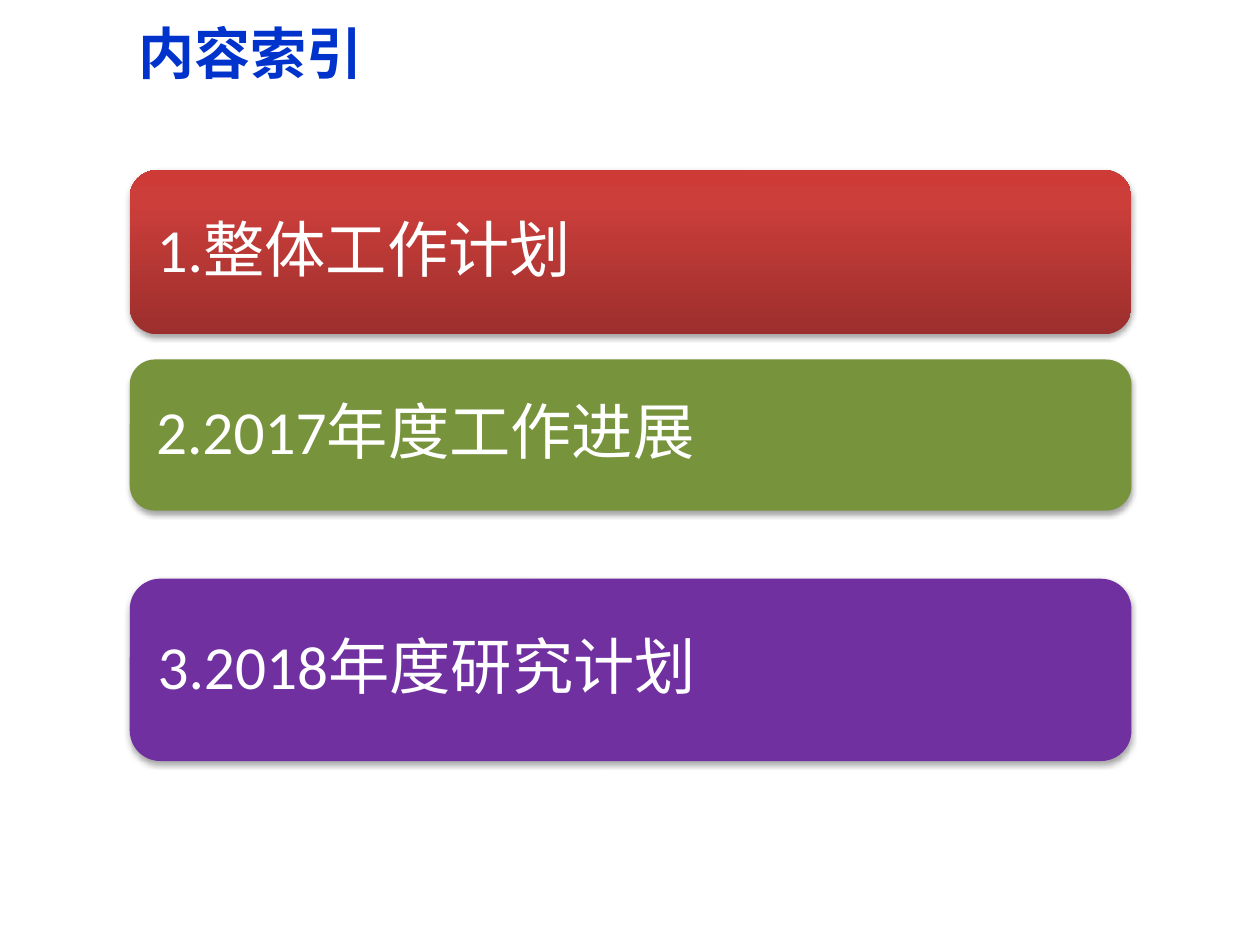
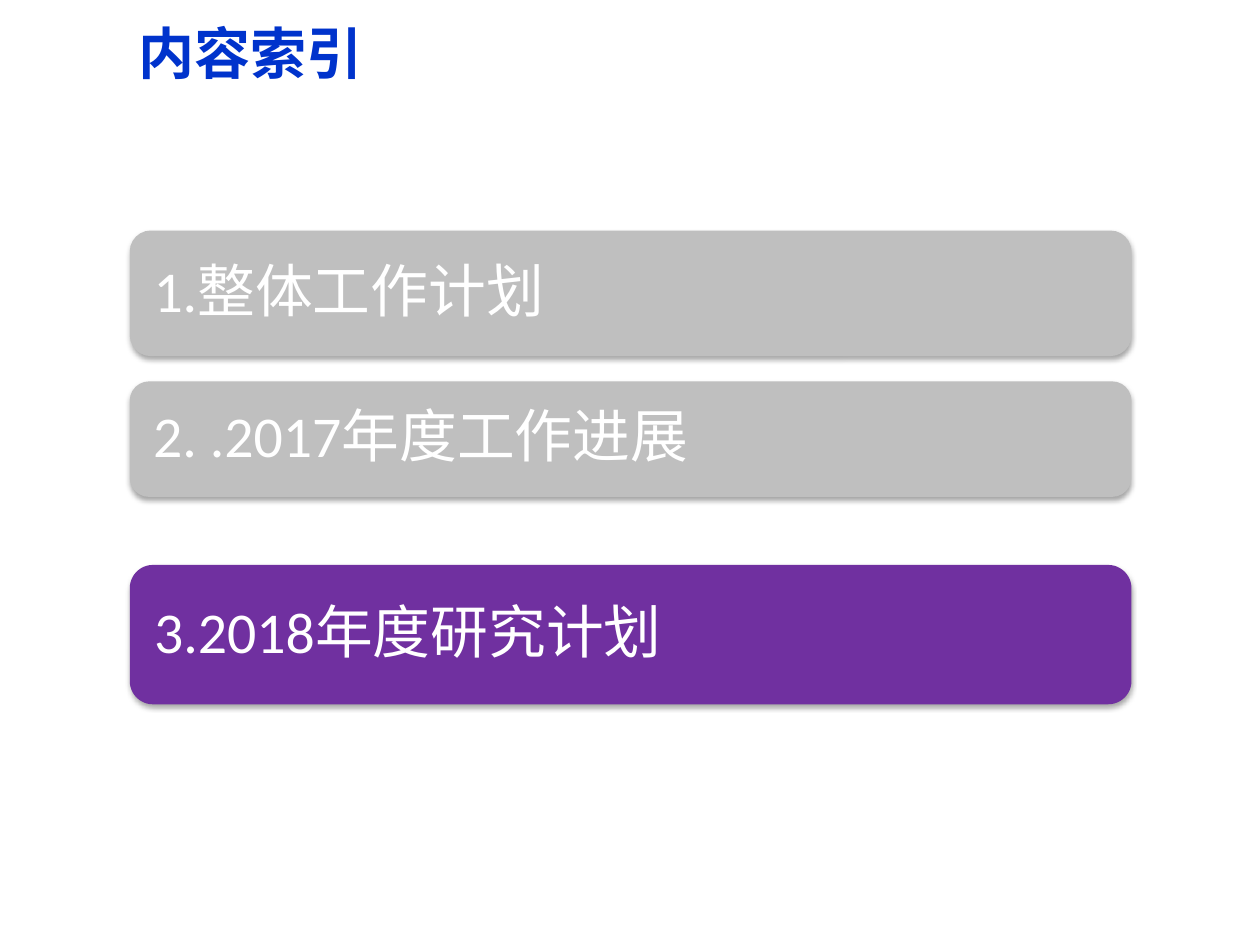
import pptx
import pptx.dml.color
import pptx.enum.shapes
import pptx.enum.text
import pptx.oxml
import pptx.oxml.ns
import pptx.util
from lxml import etree

INCH = pptx.util.Inches
WIDTH, HEIGHT = 10, 7.5
TITLE_FONT, BODY_FONT = "Noto Sans CJK SC", "Calibri"
BLUE, WHITE, GREEN, PURPLE, GREY = "0033CC", "FFFFFF", "77933C", "7030A0", "BFBFBF"
RED_STOPS = [(0, "9C2F2D"), (80, "CB3E3A"), (100, "CE3B37")]

# Bars share one column; their heights are shares of one row unit
BAR_LEFT, BAR_WIDTH = 1.03, 7.95
ROW_SHARES = [1, 0.92, 1.11]
ROW_GAPS = [0.2, 0.54]

SPACE = pptx.oxml.ns.nsdecls("a")
SHADOW = (
    f'<a:effectLst {SPACE}><a:outerShdw blurRad="40000" dist="23000" dir="5400000" '
    'rotWithShape="0"><a:srgbClr val="000000"><a:alpha val="35000"/></a:srgbClr>'
    '</a:outerShdw></a:effectLst>'
)
SPACE_AFTER = f'<a:spcAft {SPACE}><a:spcPct val="35000"/></a:spcAft>'


def color(value):
    return pptx.dml.color.RGBColor.from_string(value)


def style_font(para, name, size, value, bold=False):
    font = para.font
    font.name, font.size, font.bold = name, pptx.util.Pt(size), bold
    font.color.rgb = color(value)
    properties = para._p.pPr.find(pptx.oxml.ns.qn("a:defRPr"))
    east_asian = etree.SubElement(properties, pptx.oxml.ns.qn("a:ea"))
    east_asian.set("typeface", TITLE_FONT)


def fill_shape(shape, fill):
    """Fill with one colour, or with a list of stops running upwards."""
    if isinstance(fill, str):
        shape.fill.solid()
        shape.fill.fore_color.rgb = color(fill)
        return
    shape.fill.gradient()
    shape.fill.gradient_angle = 90
    stops = shape._element.spPr.find(".//" + pptx.oxml.ns.qn("a:gsLst"))
    for stop in list(stops):
        stops.remove(stop)
    for percent, value in fill:
        stops.append(pptx.oxml.parse_xml(
            f'<a:gs {SPACE} pos="{percent * 1000}"><a:srgbClr val="{value}"/></a:gs>'))


def set_title(page, text):
    title = page.shapes.title
    title.left, title.top = INCH(WIDTH * 0.1), INCH(-0.02)
    title.width, title.height = INCH(WIDTH * 0.9), INCH(0.87)
    frame = title.text_frame
    frame.text = text
    frame.vertical_anchor = pptx.enum.text.MSO_ANCHOR.MIDDLE
    para = frame.paragraphs[0]
    para.alignment = pptx.enum.text.PP_ALIGN.LEFT
    style_font(para, TITLE_FONT, 32, BLUE, bold=True)


def add_bar(page, box, text, fill, size, inset):
    bar = page.shapes.add_shape(
        pptx.enum.shapes.MSO_SHAPE.ROUNDED_RECTANGLE, *[INCH(value) for value in box])
    fill_shape(bar, fill)
    bar.line.fill.background()
    bar._element.spPr.append(pptx.oxml.parse_xml(SHADOW))

    frame = bar.text_frame
    frame.text = text
    frame.word_wrap = True
    frame.vertical_anchor = pptx.enum.text.MSO_ANCHOR.MIDDLE
    frame.margin_left = frame.margin_right = INCH(inset)
    frame.margin_top = frame.margin_bottom = INCH(inset)
    para = frame.paragraphs[0]
    para.alignment = pptx.enum.text.PP_ALIGN.LEFT
    para.line_spacing = 0.9
    para._p.pPr.append(pptx.oxml.parse_xml(SPACE_AFTER))
    style_font(para, BODY_FONT, size, WHITE)


def add_index(page, box, entries, size, inset):
    left, top, width, height = box
    row = (height - sum(ROW_GAPS)) / sum(ROW_SHARES)
    for (text, fill), share, gap in zip(entries, ROW_SHARES, ROW_GAPS + [0]):
        add_bar(page, (left, top, width, row * share), text, fill, size, inset)
        top += row * share + gap


def index_page(deck, top, height, entries, size, inset):
    page = deck.slides.add_slide(deck.slide_layouts[5])
    set_title(page, "内容索引")
    add_index(page, (BAR_LEFT, top, BAR_WIDTH, height), entries, size, inset)


def main():
    deck = pptx.Presentation()
    deck.slide_width, deck.slide_height = INCH(WIDTH), INCH(HEIGHT)

    # Full index
    index_page(deck, 1.35, 4.69, [
        ("1.整体工作计划", RED_STOPS),
        ("2.2017年度工作进展", GREEN),
        ("3.2018年度研究计划", PURPLE),
    ], size=35, inset=0.15)

    # Third section highlighted
    index_page(deck, 1.83, 3.76, [
        ("1.整体工作计划", GREY),
        ("2. .2017年度工作进展", GREY),
        ("3.2018年度研究计划", PURPLE),
    ], size=33, inset=0.14)

    deck.save("out.pptx")


if __name__ == "__main__":
    main()
